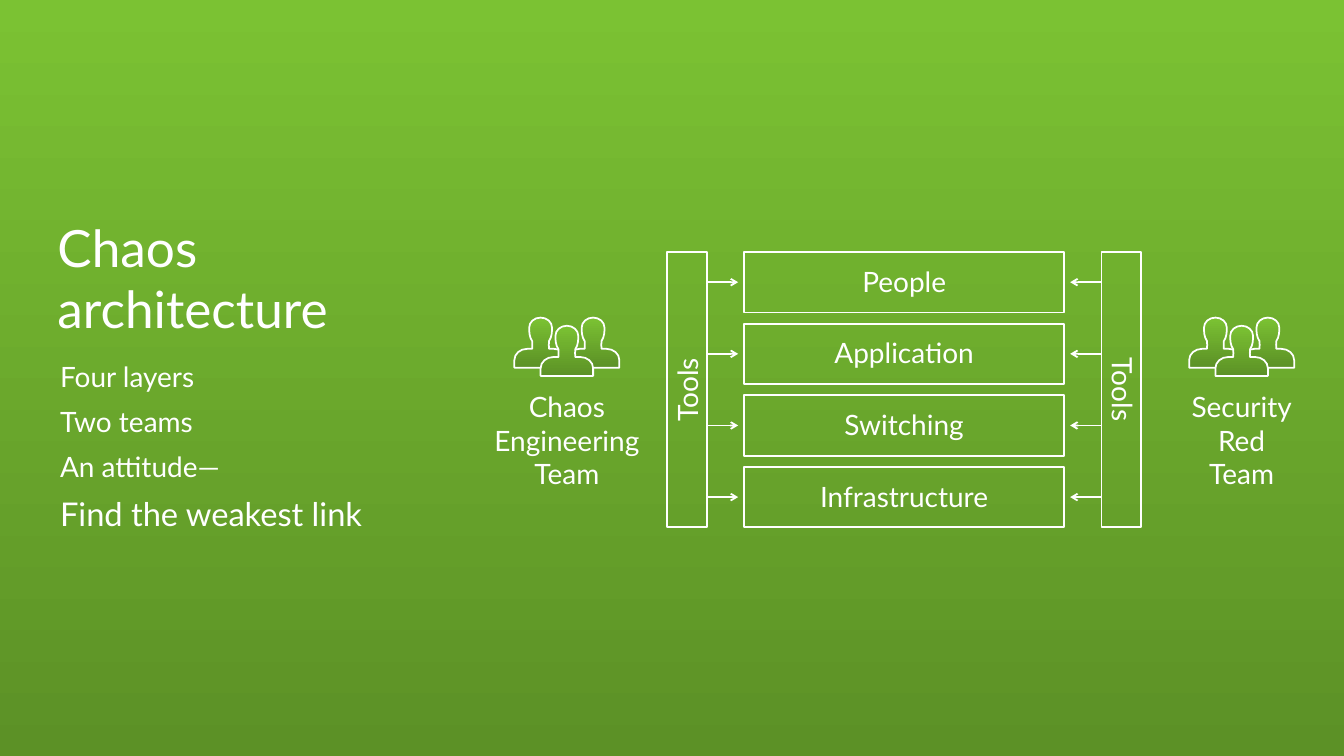
from lxml import etree
from pptx import Presentation
from pptx.dml.color import RGBColor
from pptx.enum.shapes import MSO_CONNECTOR, MSO_SHAPE
from pptx.enum.text import MSO_AUTO_SIZE, PP_ALIGN
from pptx.oxml.ns import qn
from pptx.util import Pt

STRAIGHT = MSO_CONNECTOR.STRAIGHT
RECT = MSO_SHAPE.RECTANGLE
GROW = MSO_AUTO_SIZE.SHAPE_TO_FIT_TEXT
CENTER = PP_ALIGN.CENTER
LEFT = PP_ALIGN.LEFT

WHITE = RGBColor(0xFF, 0xFF, 0xFF)
LIME = RGBColor(0x7B, 0xC2, 0x33)
MOSS = RGBColor(0x5C, 0x91, 0x26)
FONT = "Lato"
STROKE = 1.5
SIZE = 24

LAYERS = [("People", 90), ("Application", 139.7),
          ("Switching", 122.4), ("Infrastructure", 165.6)]
POINTS = [("Four layers", SIZE), ("Two teams", SIZE),
          ("An attitude—", SIZE), ("Find the weakest link", 28)]
HALF = 22.5
TALL = 43
SIDE = [
    [(22.5, 36.5)],
    [(22.5, 31), (17.5, 26.8), (11.5, 26.8)],
    [(7.2, 26.8)],
    [(6.8, 24.5), (7.2, 22.3), (7.2, 20.2)],
    [(9.8, 16.6), (9.8, 11.5), (9.8, 8.7)],
    [(9.8, 3.8), (5.4, 0), (0, 0)],
]


def shade(fill):
    fill.gradient()
    fill.gradient_angle = 270
    for stop, color in zip(fill.gradient_stops, (LIME, MOSS)):
        stop.color.rgb = color


def stroke(shape):
    shape.line.color.rgb = WHITE
    shape.line.width = Pt(STROKE)


def write(para, text, size=SIZE, align=CENTER):
    para.alignment = align
    for i, part in enumerate(text.split("\n")):
        if i:
            para.add_line_break()
        run = para.add_run()
        run.text = part
        run.font.name = FONT
        run.font.size = Pt(size)
        run.font.color.rgb = WHITE


def text_box(slide, x, y, w, h):
    box = slide.shapes.add_textbox(Pt(x), Pt(y), Pt(w), Pt(h))
    box.text_frame.word_wrap = True
    return box


def label(slide, mid, y, w, h, text):
    box = text_box(slide, mid - w / 2, y, w, h)
    box.text_frame.word_wrap = False
    box.text_frame.auto_size = GROW
    write(box.text_frame.paragraphs[0], text)
    return box


def frame(slide, x, y, w, h):
    shape = slide.shapes.add_shape(RECT, Pt(x), Pt(y), Pt(w), Pt(h))
    shape.shadow.inherit = False
    shape.fill.background()
    stroke(shape)


def arrow(slide, start, end, y):
    line = slide.shapes.add_connector(
        STRAIGHT, Pt(start), Pt(y), Pt(end), Pt(y))
    stroke(line)
    etree.SubElement(line.line._get_or_add_ln(), qn("a:tailEnd"), type="arrow")
    etree.SubElement(line._element.spPr, qn("a:effectLst"))


def outline():
    flat = [(HALF, TALL)] + [dot for part in SIDE for dot in part]
    back = [(-x, y) for x, y in reversed(flat[:-1])]
    parts = list(SIDE)
    for part in reversed(SIDE):
        parts.append(back[:len(part)])
        back = back[len(part):]
    return parts


def person(slide, mid, top):
    parts = outline()
    ends = [(Pt(mid + x), Pt(top + y)) for x, y in (p[-1] for p in parts)]
    pen = slide.shapes.build_freeform(Pt(mid + HALF), Pt(top + TALL), scale=1.0)
    pen.add_line_segments(ends, close=True)
    shape = pen.convert_to_shape()
    shape.shadow.inherit = False
    shade(shape.fill)
    stroke(shape)
    for part, old in zip(parts, list(shape._element.iter(qn("a:lnTo")))):
        if len(part) == 3:
            curve = etree.Element(qn("a:cubicBezTo"))
            for x, y in part:
                etree.SubElement(curve, qn("a:pt"),
                                 x=str(Pt(x + HALF)), y=str(Pt(y)))
            old.getparent().replace(old, curve)


def team(slide, x, y, w, name):
    mid = x + w / 2
    for shift, drop in ((-HALF, 0), (HALF, 0), (0, 7)):
        person(slide, mid + shift, y + drop)
    label(slide, mid, y + 58.3, w, 94.3, name)


def tools(slide, x, y, w, h, turn, shift):
    frame(slide, x, y, w, h)
    box = label(slide, x + w / 2 + shift, y + h / 2 - 18, 74, 36, "Tools")
    box.rotation = turn


def stack(slide, x, y, w, h):
    bar, reach, gap, high = 34, 26.8, 66, 51.8
    pitch = (h - high) / (len(LAYERS) - 1)
    tools(slide, x, y, bar, h, 270, 0)
    tools(slide, x + w - bar, y, bar, h, 90, 1.5)
    for i, (name, wide) in enumerate(LAYERS):
        top = y + i * pitch
        frame(slide, x + gap, top, w - 2 * gap, high)
        label(slide, x + w / 2, top + 7, wide, 36, name)
        for edge, way in ((x + bar, 1), (x + w - bar, -1)):
            arrow(slide, edge, edge + way * reach, top + high / 2)


def title(slide, x, y, w, h):
    body = text_box(slide, x, y, w, h).text_frame
    write(body.paragraphs[0], "Chaos", 44, LEFT)
    write(body.add_paragraph(), "architecture", 44, LEFT)


def summary(slide, x, y, w, h):
    body = text_box(slide, x, y, w, h).text_frame
    for i, (text, size) in enumerate(POINTS):
        para = body.add_paragraph() if i else body.paragraphs[0]
        if i:
            para.space_before = Pt(9.6)
        write(para, text, size, LEFT)


def main():
    deck = Presentation()
    deck.slide_width, deck.slide_height = Pt(1152), Pt(648)
    slide = deck.slides.add_slide(deck.slide_layouts[6])
    shade(slide.background.fill)
    title(slide, 42.2, 181.7, 415, 124)
    summary(slide, 44.4, 304.6, 351, 177)
    team(slide, 412.9, 272.2, 146, "Chaos\nEngineering\nTeam")
    stack(slide, 571.9, 216, 406.2, 236)
    team(slide, 1012.8, 272.2, 103, "Security\nRed\nTeam")
    deck.save("out.pptx")


if __name__ == "__main__":
    main()
